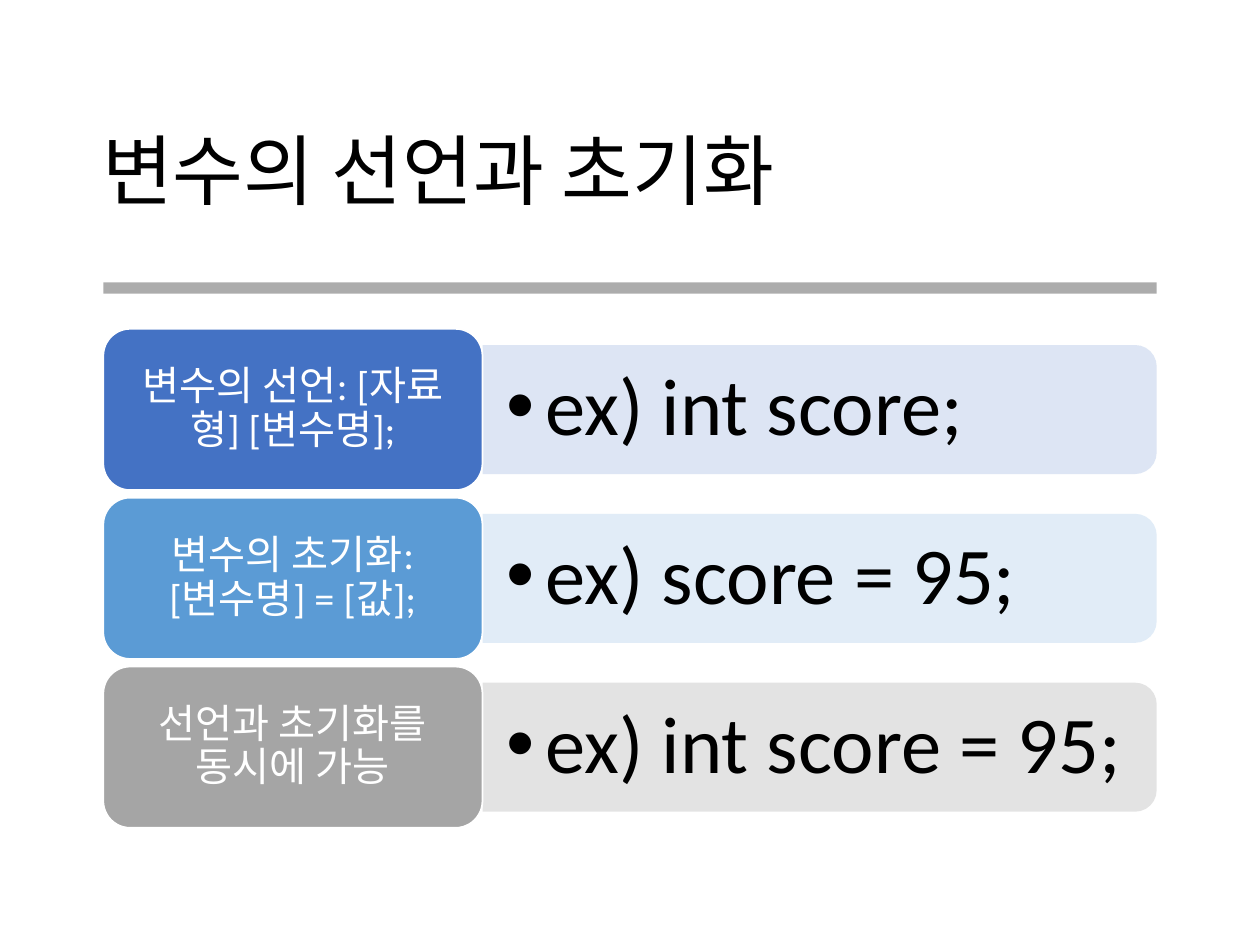
import pptx
import pptx.util
import pptx.dml.color
import pptx.enum.shapes
import pptx.enum.text
import pptx.oxml.ns
import lxml.etree

Inches = pptx.util.Inches
Pt = pptx.util.Pt
SHAPES = pptx.enum.shapes.MSO_SHAPE
ALIGN = pptx.enum.text.PP_ALIGN

COLORS = {
    "text": "000000", "white": "FFFFFF", "rule": "808080",
    "blue": "4472C4", "blue_pale": "DAE3F3",
    "sky": "5B9BD5", "sky_pale": "DEEBF7",
    "gray": "A5A5A5", "gray_pale": "E1E1E1",
}
FONT = "Calibri"
LEFT, WIDTH = 0.82, 8.36
ROWS_TOP, ROW_HEIGHT, ROW_PITCH = 2.61, 1.28, 1.34
LABEL_SHARE = 0.36
PANEL_SHARE = 0.8
ROWS = [
    ("변수의 선언: [자료형] [변수명];", "ex) int score;", "blue"),
    ("변수의 초기화: [변수명] = [값];", "ex) score = 95;", "sky"),
    ("선언과 초기화를 동시에 가능", "ex) int score = 95;", "gray"),
]


def rgb(name):
    """Return the named colour."""
    return pptx.dml.color.RGBColor.from_string(COLORS[name])


def add_filled(slide, kind, box, color, opacity=100):
    """Add a shape without line or shadow, filled at an opacity in percent."""
    shape = slide.shapes.add_shape(kind, *(Inches(length) for length in box))
    shape.shadow.inherit = False
    shape.line.fill.background()
    shape.fill.solid()
    shape.fill.fore_color.rgb = rgb(color)
    if opacity < 100:
        fill = shape.fill._xPr.find(pptx.oxml.ns.qn("a:solidFill"))
        lxml.etree.SubElement(fill[0], pptx.oxml.ns.qn("a:alpha"), val=str(opacity * 1000))
    return shape


def write_text(shape, text, size, color, align, insets):
    """Write one vertically centred paragraph and return it."""
    frame = shape.text_frame
    frame.text = text
    frame.word_wrap = True
    frame.auto_size = pptx.enum.text.MSO_AUTO_SIZE.NONE
    frame.vertical_anchor = pptx.enum.text.MSO_ANCHOR.MIDDLE
    frame.margin_left = frame.margin_right = Inches(insets[0])
    frame.margin_top = frame.margin_bottom = Inches(insets[1])
    paragraph = frame.paragraphs[0]
    paragraph.alignment = align
    paragraph.line_spacing = 0.9
    font = paragraph.runs[0].font
    font.size, font.name = Pt(size), FONT
    font.color.rgb = rgb(color)
    return paragraph


def add_bullet(paragraph, indent):
    """Give a paragraph a round bullet with a hanging indent."""
    properties = paragraph._p.get_or_add_pPr()
    properties.set("marL", str(Inches(indent)))
    properties.set("indent", str(-Inches(indent)))
    lxml.etree.SubElement(properties, pptx.oxml.ns.qn("a:buFont"), typeface="Arial")
    lxml.etree.SubElement(properties, pptx.oxml.ns.qn("a:buChar"), char="•")


def add_heading(slide, text):
    """Place the title and the rule below it."""
    title = slide.shapes.title
    title.left, title.top = Inches(0.71), Inches(0.66)
    title.width, title.height = Inches(8.57), Inches(1.45)
    write_text(title, text, 44, "text", ALIGN.LEFT, (0.1, 0.05))
    add_filled(slide, SHAPES.RECTANGLE, (LEFT, 2.24, WIDTH, 0.09), "rule", 65)


def add_row(slide, box, label, example, color):
    """Place a label block and its example panel inside the box."""
    left, top, width, height = box
    label_width = width * LABEL_SHARE
    panel_left, panel_width = left + label_width, width - label_width
    panel_height = height * PANEL_SHARE
    middle = top + height / 2

    turned = (panel_left + (panel_width - panel_height) / 2, middle - panel_width / 2,
              panel_height, panel_width)
    panel = add_filled(slide, SHAPES.ROUND_2_SAME_RECTANGLE, turned, color + "_pale", 90)
    panel.rotation = 90

    text_box = slide.shapes.add_textbox(
        Inches(panel_left), Inches(middle - panel_height / 2),
        Inches(panel_width - 0.05), Inches(panel_height))
    paragraph = write_text(text_box, example, 46, "text", ALIGN.LEFT, (0.19, 0.1))
    add_bullet(paragraph, 0.31)

    block = add_filled(slide, SHAPES.ROUNDED_RECTANGLE,
                       (left, top, label_width, height), color)
    block.line.color.rgb = rgb("white")
    block.line.width = Pt(1)
    write_text(block, label, 23, "white", ALIGN.CENTER, (0.1, 0.05))


def build():
    """Build the slide and save it."""
    presentation = pptx.Presentation()
    presentation.slide_width, presentation.slide_height = Inches(10), Inches(7.5)
    slide = presentation.slides.add_slide(presentation.slide_layouts[5])
    add_heading(slide, "변수의 선언과 초기화")
    for index, (label, example, color) in enumerate(ROWS):
        box = (LEFT, ROWS_TOP + index * ROW_PITCH, WIDTH, ROW_HEIGHT)
        add_row(slide, box, label, example, color)
    presentation.save("out.pptx")


build()
